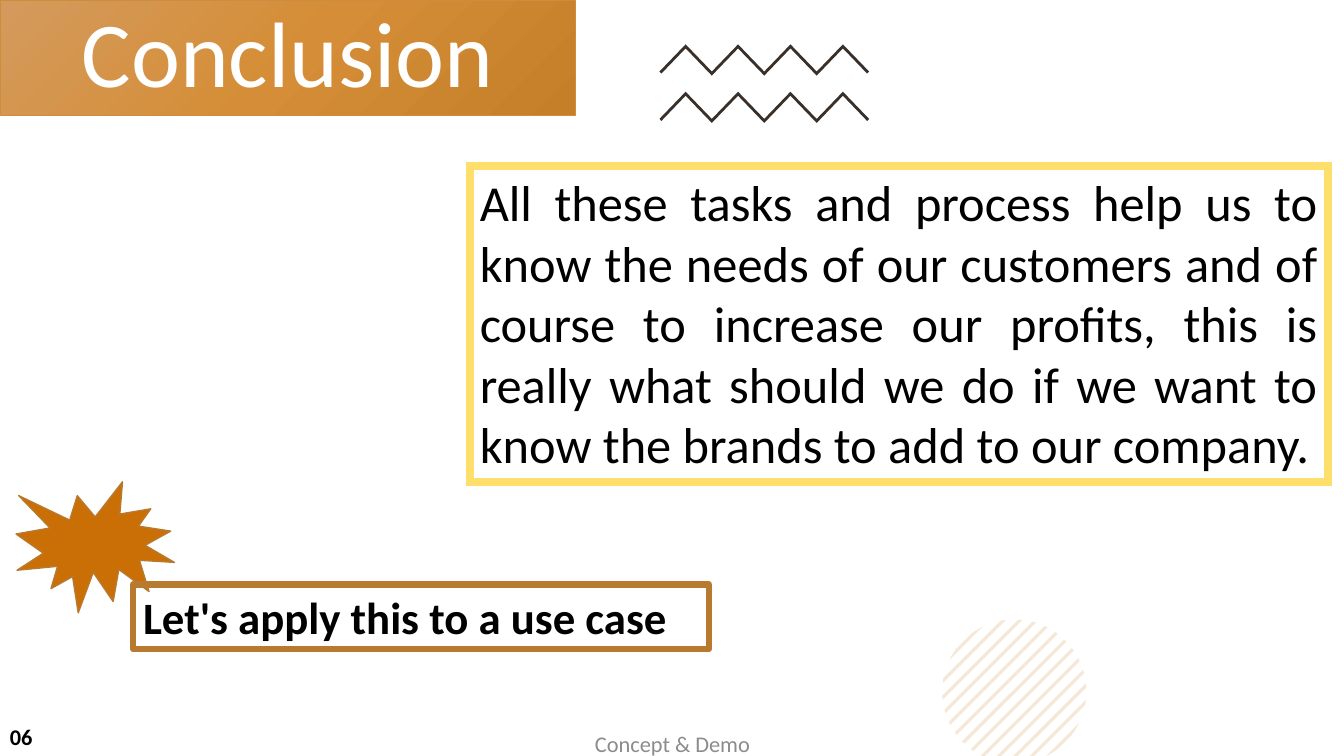
from copy import deepcopy
from math import acos, cos, pi, sin, sqrt

from pptx import Presentation
from pptx.dml.color import RGBColor
from pptx.enum.shapes import MSO_SHAPE
from pptx.enum.text import MSO_ANCHOR, MSO_AUTO_SIZE, PP_ALIGN
from pptx.oxml.ns import qn
from pptx.util import Inches, Pt

WHITE = RGBColor(0xFF, 0xFF, 0xFF)
BLACK = RGBColor(0, 0, 0)
GRAY = RGBColor(0x8C, 0x8C, 0x8C)
DARK = RGBColor(0x39, 0x30, 0x2A)
YELLOW = RGBColor(0xFF, 0xDF, 0x6B)
BROWN = RGBColor(0xB7, 0x7A, 0x2F)
ORANGE = RGBColor(0xCA, 0x6F, 0x06)
TAN = RGBColor(0xCE, 0x8D, 0x3E)
BANNER_STOPS = [
    (0, RGBColor(0xD4, 0x9A, 0x5D)),
    (0.5, RGBColor(0xD5, 0x8E, 0x37)),
    (1, RGBColor(0xC5, 0x7F, 0x29)),
]
FONT = "Calibri"
SLIDE_W, SLIDE_H = 13.33, 7.5
LEFT, CENTER, JUSTIFY = PP_ALIGN.LEFT, PP_ALIGN.CENTER, PP_ALIGN.JUSTIFY
TOP, MIDDLE = MSO_ANCHOR.TOP, MSO_ANCHOR.MIDDLE
RECTANGLE, BURST = MSO_SHAPE.RECTANGLE, MSO_SHAPE.EXPLOSION1
NO_AUTOFIT = MSO_AUTO_SIZE.NONE


def inches(box):
    return [Inches(length) for length in box]


def write(shape, text, size, color, bold=False, align=LEFT, anchor=TOP):
    frame = shape.text_frame
    frame.text = text
    frame_format = {"word_wrap": True, "auto_size": NO_AUTOFIT,
                    "vertical_anchor": anchor}
    for name, value in frame_format.items():
        setattr(frame, name, value)
    paragraph = frame.paragraphs[0]
    paragraph.alignment = align
    font = paragraph.runs[0].font
    font_format = {"name": FONT, "size": Pt(size), "bold": bold}
    for name, value in font_format.items():
        setattr(font, name, value)
    font.color.rgb = color


def add_outline(slide, points, color, opacity=None):
    """Closed, filled outline through points given in inches."""
    corners = [tuple(inches(point)) for point in points]
    builder = slide.shapes.build_freeform(*corners[0])
    builder.add_line_segments(corners[1:], close=True)
    outline = builder.convert_to_shape()
    outline.shadow.inherit = False
    outline.fill.solid()
    outline.fill.fore_color.rgb = color
    outline.line.fill.background()
    if opacity is not None:
        rgb = outline._element.spPr.find(".//" + qn("a:srgbClr"))
        alpha = rgb.makeelement(qn("a:alpha"), {"val": str(opacity * 1000)})
        rgb.append(alpha)


def add_box(slide, box, kind, fill, line, width):
    shape = slide.shapes.add_shape(kind, *inches(box))
    shape.shadow.inherit = False
    if fill is None:
        shape.fill.background()
    else:
        shape.fill.solid()
        shape.fill.fore_color.rgb = fill
    shape.line.color.rgb = line
    shape.line.width = Pt(width)
    return shape


def add_zigzag(slide, left, top, step=0.26, rise=0.27, thick=0.04):
    upper = [(left + step * i, top + (0 if i % 2 else rise)) for i in range(9)]
    lower = [(x, y + thick) for x, y in upper[1:-1]]
    (first_x, end_y), (last_x, _) = upper[0], upper[-1]
    inset = thick / 2
    lower = [(first_x + inset, end_y + inset), *lower,
             (last_x - inset, end_y + inset)]
    add_outline(slide, upper + lower[::-1], DARK)


def add_striped_circle(slide, center_x, center_y, radius):
    """Diagonal stripes across a circle, cut off at the slide's lower edge."""
    pitch, band, arc_steps = 0.163, 0.045, 4
    reach = radius * sqrt(2)

    def rim_point(offset, side):
        turn = acos(max(-1, min(1, offset / reach)))
        angle = pi / 4 + side * turn
        x = center_x + radius * cos(angle)
        y = center_y + radius * sin(angle)
        return (x, y) if y <= SLIDE_H else (x + y - SLIDE_H, SLIDE_H)

    for stripe in range(13):
        start = (stripe - 6) * pitch - band / 2
        offsets = [start + band * i / arc_steps for i in range(arc_steps + 1)]
        points = [rim_point(offset, -1) for offset in offsets]
        points += [rim_point(offset, 1) for offset in reversed(offsets)]
        add_outline(slide, points, TAN, 20)


def add_banner(slide, box):
    banner = slide.shapes.title
    banner.left, banner.top, banner.width, banner.height = inches(box)
    write(banner, "Conclusion", 66.3, WHITE, align=CENTER, anchor=MIDDLE)
    banner.text_frame.paragraphs[0].line_spacing = 0.9
    banner.fill.gradient()
    banner.fill.gradient_angle = 315
    stop_list = banner._element.spPr.find(".//" + qn("a:gsLst"))
    stop_list.insert(1, deepcopy(stop_list[0]))
    for stop, (position, color) in zip(banner.fill.gradient_stops, BANNER_STOPS):
        stop.position = position
        stop.color.rgb = color
    banner.line.color.rgb = TAN
    banner.line.width = Pt(0.5)


def add_message(slide, box):
    message = add_box(slide, box, RECTANGLE, WHITE, YELLOW, 6)
    outline = message._element.spPr.find(qn("a:ln"))
    outline.append(outline.makeelement(qn("a:miter"), {"lim": "800000"}))
    write(message, "All these tasks and process help us to know the needs of our "
          "customers and of course to increase our profits, this is really what "
          "should we do if we want to know the brands to add to our company.",
          36, BLACK, align=JUSTIFY)


def add_use_case(slide, left, top):
    add_box(slide, (left, top, 1.57, 1.3), BURST, ORANGE, BROWN, 1)
    use_case = add_box(slide, (left + 1.16, top + 1.02, 5.71, 0.64),
                       RECTANGLE, None, BROWN, 4.5)
    write(use_case, "Let's apply this to a use case", 32, BLACK, bold=True)


def add_footer(slide, top):
    footer = slide.shapes.add_textbox(*inches((4.42, top + 0.06, 4.5, 0.4)))
    write(footer, "Concept & Demo", 16, GRAY, align=CENTER, anchor=MIDDLE)
    number = slide.shapes.add_textbox(*inches((0, top, 3, 0.4)))
    write(number, "06", 16, BLACK, bold=True)


def main():
    deck = Presentation()
    deck.slide_width, deck.slide_height = Inches(SLIDE_W), Inches(SLIDE_H)
    slide = deck.slides.add_slide(deck.slide_layouts[5])
    # Decoration
    for zigzag_top in (0.44, 0.91):
        add_zigzag(slide, 6.54, zigzag_top)
    add_striped_circle(slide, 10.06, 6.86, 0.715)
    # Content
    add_banner(slide, (0, 0, 5.71, 1.14))
    add_message(slide, (4.66, 1.65, 8.51, 3.13))
    add_use_case(slide, 0.16, 4.78)
    add_footer(slide, 7.12)
    deck.save("out.pptx")


if __name__ == "__main__":
    main()
